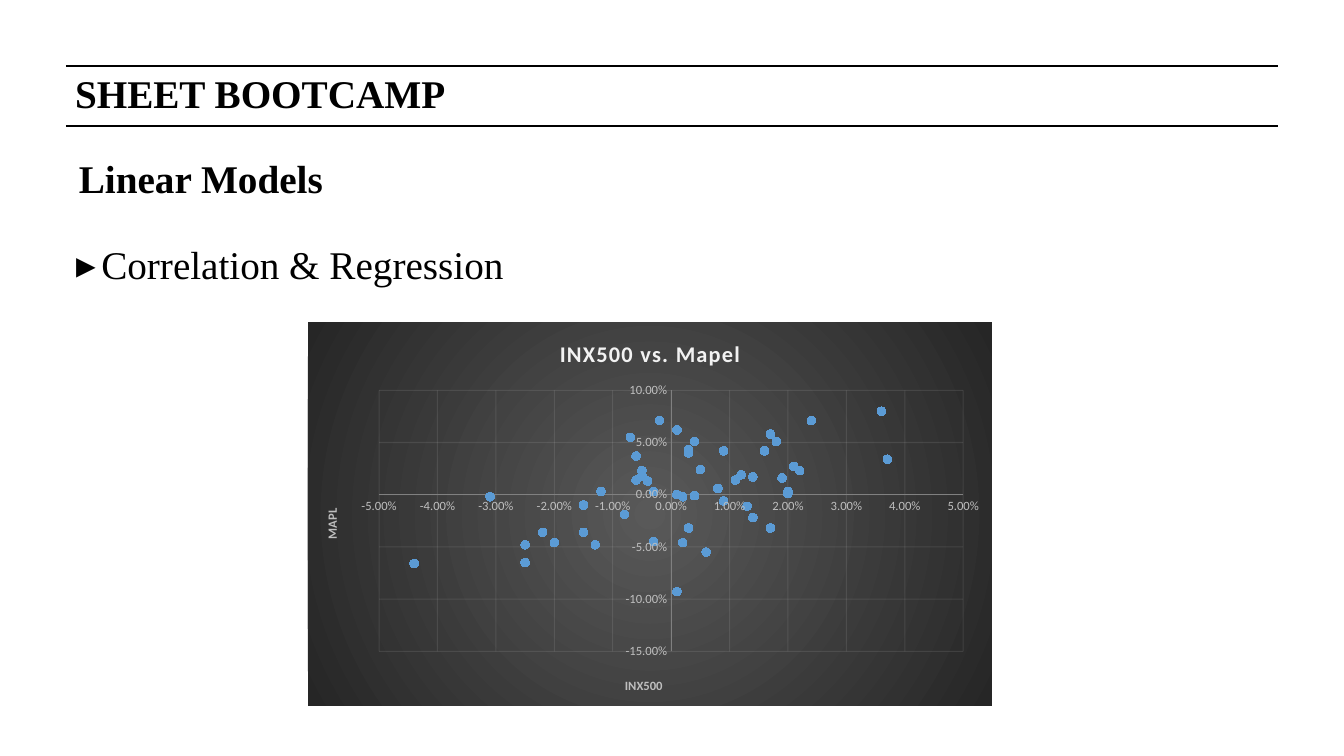
from lxml import etree
from pptx import Presentation
from pptx.chart.data import XyChartData
from pptx.dml.color import RGBColor
from pptx.enum.chart import XL_CHART_TYPE, XL_MARKER_STYLE, XL_TICK_MARK
from pptx.enum.shapes import MSO_CONNECTOR
from pptx.enum.text import MSO_ANCHOR, MSO_AUTO_SIZE, PP_ALIGN
from pptx.oxml import parse_xml
from pptx.oxml.ns import nsdecls, qn
from pptx.util import Pt

SCATTER = XL_CHART_TYPE.XY_SCATTER
CIRCLE = XL_MARKER_STYLE.CIRCLE
NO_TICK = XL_TICK_MARK.NONE
STRAIGHT = MSO_CONNECTOR.STRAIGHT
TOP, MIDDLE = MSO_ANCHOR.TOP, MSO_ANCHOR.MIDDLE
NO_FIT = MSO_AUTO_SIZE.NONE
LEFT = PP_ALIGN.LEFT

BLACK = RGBColor(0x00, 0x00, 0x00)
OFF_WHITE = RGBColor(0xF2, 0xF2, 0xF2)
LABEL_GRAY = RGBColor(0xBF, 0xBF, 0xBF)
AXIS_GRAY = RGBColor(0x80, 0x80, 0x80)
CENTER_GRAY = RGBColor(0x59, 0x59, 0x59)
EDGE_GRAY = RGBColor(0x26, 0x26, 0x26)
MARKER_BLUE = RGBColor(0x5B, 0x9B, 0xD5)

TEXT_FONT, CHART_FONT = "Times New Roman", "Calibri"
SLIDE_WIDTH, SLIDE_HEIGHT = 1344, 756
SCALE = 914400 / 100.8

INDEX_RETURNS = [
    0.016, 0.009, 0.02, 0.001, 0.021, -0.002, 0.014, 0.003, 0.003, 0.001, 0.024, -0.005, 0.008,
    -0.007, -0.02, 0.006, 0.018, -0.025, -0.012, -0.044, 0.017, -0.031, 0.037, 0.013, -0.006, 0.02,
    -0.006, 0.002, 0.004, 0.017, 0.004, 0.011, 0.009, -0.005, -0.003, 0.022, 0.019, -0.004, -0.013,
    0.014, -0.022, 0.003, -0.015, 0.002, -0.025, -0.015, 0.036, 0.005, 0.001, -0.003, 0.012, -0.008]
STOCK_RETURNS = [
    0.042, -0.006, 0.001, 0.062, 0.027, 0.071, 0.017, 0.04, 0.043, 0, 0.071, 0.018, 0.006,
    0.055, -0.046, -0.055, 0.051, -0.065, 0.003, -0.066, 0.058, -0.002, 0.034, -0.011, 0.014, 0.003,
    0.037, -0.002, -0.001, -0.032, 0.051, 0.014, 0.042, 0.023, 0.003, 0.023, 0.016, 0.013, -0.048,
    -0.022, -0.036, -0.032, -0.01, -0.046, -0.048, -0.036, 0.08, 0.024, -0.093, -0.045, 0.019, -0.019]


def emu(*pixels):
    return [round(pixel * SCALE) for pixel in pixels]


def manual_layout(x, y, size=None):
    target = '<c:layoutTarget val="inner"/>' if size else ""
    extent = '<c:w val="{}"/><c:h val="{}"/>'.format(*size) if size else ""
    return parse_xml(
        f'<c:layout {nsdecls("c")}><c:manualLayout>{target}<c:xMode val="edge"/>'
        f'<c:yMode val="edge"/><c:x val="{x}"/><c:y val="{y}"/>{extent}'
        '</c:manualLayout></c:layout>')


def replace_layout(element, layout, position):
    for old_layout in element.findall(qn("c:layout")):
        element.remove(old_layout)
    element.insert(position, layout)


class SlideBuilder:
    def __init__(self, slide):
        self.slide = slide

    def rule(self, y, weight):
        line = self.slide.shapes.add_connector(STRAIGHT, *emu(66, y, 1278, y))
        line.line.color.rgb = BLACK
        line.line.width = Pt(weight)
        etree.SubElement(line._element.spPr, qn("a:effectLst"))

    def text(self, shape, box, words, bold=False, anchor=TOP, spacing=1.0, bullet=None):
        shape.left, shape.top, shape.width, shape.height = emu(*box)
        frame = shape.text_frame
        frame.word_wrap = True
        frame.auto_size = NO_FIT
        frame.vertical_anchor = anchor
        paragraph = frame.paragraphs[0]
        paragraph.alignment = LEFT
        paragraph.line_spacing = spacing
        if bullet:
            paragraph.space_before = Pt(10)
            properties = paragraph._p.get_or_add_pPr()
            properties.set("marL", "228600")
            properties.set("indent", "-228600")
            etree.SubElement(properties, qn("a:buFont")).set("typeface", "Arial")
            etree.SubElement(properties, qn("a:buChar")).set("char", bullet)
        self.run(paragraph, words, 28, TEXT_FONT, BLACK, bold)

    def run(self, paragraph, words, size, font, color, bold):
        run = paragraph.add_run()
        run.text = words
        run.font.size = Pt(size)
        run.font.name = font
        run.font.bold = bold
        run.font.color.rgb = color
        return run

    def axis(self, axis, title, limits, step, title_place):
        axis.minimum_scale, axis.maximum_scale = limits
        axis.major_unit = step
        axis.major_tick_mark = axis.minor_tick_mark = NO_TICK
        axis.tick_labels.number_format = "0.00%"
        axis.tick_labels.number_format_is_linked = False
        axis.tick_labels.font.size = Pt(9)
        axis.tick_labels.font.name = CHART_FONT
        axis.tick_labels.font.color.rgb = LABEL_GRAY
        axis.format.line.color.rgb = AXIS_GRAY
        axis.format.line.width = Pt(0.75)
        axis.has_major_gridlines = True
        grid = axis.major_gridlines.format.line
        grid.color.rgb = OFF_WHITE
        grid.width = Pt(0.75)
        for color in axis.major_gridlines._xAx.find(qn("c:majorGridlines")).iter(qn("a:srgbClr")):
            etree.SubElement(color, qn("a:alpha")).set("val", "10000")
        paragraph = axis.axis_title.text_frame.paragraphs[0]
        self.run(paragraph, title, 9, CHART_FONT, LABEL_GRAY, True)
        replace_layout(axis.axis_title._element, manual_layout(*title_place), 1)

    def scatter(self, box, title, x_title, y_title):
        data = XyChartData()
        points = data.add_series("Series 1")
        for x, y in zip(INDEX_RETURNS, STOCK_RETURNS):
            points.add_data_point(x, y)
        chart = self.slide.shapes.add_chart(SCATTER, *emu(*box), data).chart
        chart.has_legend = False
        chart.font.size = Pt(10)
        chart.font.name = CHART_FONT
        chart.has_title = True
        heading = self.run(chart.chart_title.text_frame.paragraphs[0], title, 16, CHART_FONT,
                           OFF_WHITE, True)
        heading._r.get_or_add_rPr().set("spc", "100")
        chart.chart_title.include_in_layout = False
        self.axis(chart.category_axis, x_title, (-0.05, 0.05), 0.01, (0.46, 0.92))
        self.axis(chart.value_axis, y_title, (-0.15, 0.1), 0.05, (0.02, 0.48))

        plot = chart.plots[0]
        plot.vary_by_categories = False
        series = plot.series[0]
        series.smooth = False
        series.format.line.fill.background()
        series.marker.style = CIRCLE
        series.marker.size = 6
        series.marker.format.fill.solid()
        series.marker.format.fill.fore_color.rgb = MARKER_BLUE
        series.marker.format.line.color.rgb = MARKER_BLUE

        chart_space = chart._chartSpace
        chart_element = chart_space.find(qn("c:chart"))
        replace_layout(chart_element.find(qn("c:plotArea")),
                       manual_layout(0.104, 0.178, (0.854, 0.68)), 0)
        chart_element.addnext(parse_xml(
            f'<c:spPr {nsdecls("c", "a")}><a:gradFill><a:gsLst>'
            f'<a:gs pos="0"><a:srgbClr val="{CENTER_GRAY}"/></a:gs>'
            f'<a:gs pos="100000"><a:srgbClr val="{EDGE_GRAY}"/></a:gs></a:gsLst>'
            '<a:path path="circle"><a:fillToRect l="50000" t="50000" r="50000" b="50000"/>'
            '</a:path></a:gradFill><a:ln><a:noFill/></a:ln></c:spPr>'))


presentation = Presentation()
presentation.slide_width, presentation.slide_height = emu(SLIDE_WIDTH, SLIDE_HEIGHT)
slide = presentation.slides.add_slide(presentation.slide_layouts[1])
builder = SlideBuilder(slide)

builder.rule(66, 2)
builder.rule(126, 1)
builder.text(slide.shapes.title, (65, 66, 1159, 60), "SHEET BOOTCAMP",
             bold=True, anchor=MIDDLE, spacing=0.9)
builder.text(slide.placeholders[1], (66, 241, 1213, 411), "Correlation & Regression",
             spacing=0.9, bullet="▸")
builder.text(slide.shapes.add_textbox(0, 0, 0, 0), (69, 149, 544, 57), "Linear Models", bold=True)
builder.scatter((308, 322, 684, 384), "INX500 vs. Mapel", "INX500", "MAPL")

presentation.save("out.pptx")
